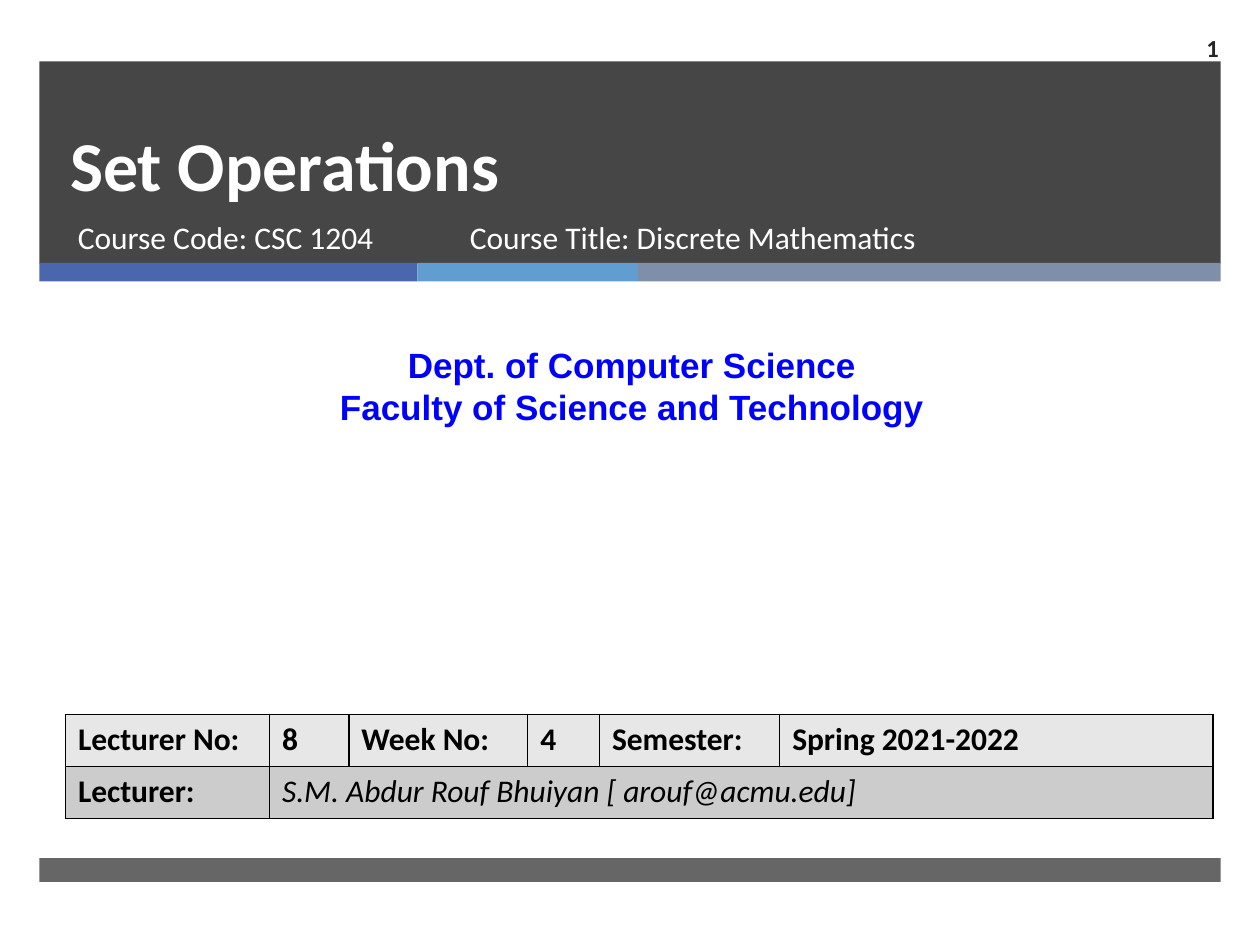
from dataclasses import dataclass

from lxml.etree import SubElement
from pptx import Presentation
from pptx.dml.color import RGBColor
from pptx.enum.shapes import MSO_SHAPE
from pptx.enum.text import MSO_ANCHOR, PP_ALIGN
from pptx.oxml.ns import qn
from pptx.slide import Slide
from pptx.table import Table
from pptx.util import Pt

WHITE, BLACK, CHARCOAL, BLUE = "FFFFFF", "000000", "262626", "0000FF"
BAND_LEFT, BAND_WIDTH = 22.5, 675


@dataclass
class Bar:
    left: float
    top: float
    width: float
    height: float
    color: str
    opacity: int = 100


@dataclass
class Label:
    left: float
    top: float
    width: float
    height: float
    lines: list[str]
    style: dict
    anchor: MSO_ANCHOR = MSO_ANCHOR.TOP


def set_color(target, color: str) -> None:
    """Colour a fill or a font."""
    if hasattr(target, "solid"):
        target.solid()
        target.fore_color.rgb = RGBColor.from_string(color)
    else:
        target.color.rgb = RGBColor.from_string(color)


def write_text(frame, lines, *, size=18, font="Calibri", color=WHITE, bold=False,
               italic=False, align=PP_ALIGN.LEFT, line_spacing=None) -> None:
    for index, line in enumerate(lines):
        para = frame.paragraphs[0] if index == 0 else frame.add_paragraph()
        para.alignment = align
        if line_spacing:
            para.line_spacing = Pt(line_spacing)
        span = para.add_run()
        span.text = line
        span.font.size = Pt(size)
        span.font.name = font
        span.font.bold = bold
        span.font.italic = italic
        set_color(span.font, color)


def draw_bar(page: Slide, bar: Bar) -> None:
    shape = page.shapes.add_shape(MSO_SHAPE.RECTANGLE, Pt(bar.left), Pt(bar.top),
                                  Pt(bar.width), Pt(bar.height))
    shape.shadow.inherit = False
    shape.line.fill.background()
    set_color(shape.fill, bar.color)
    if bar.opacity < 100:
        color_node = shape.fill._xPr.find(qn("a:solidFill"))[0]
        SubElement(color_node, qn("a:alpha"), val=str(bar.opacity * 1000))


def draw_label(page: Slide, label: Label) -> None:
    box = page.shapes.add_textbox(Pt(label.left), Pt(label.top),
                                  Pt(label.width), Pt(label.height))
    box.text_frame.word_wrap = True
    box.text_frame.vertical_anchor = label.anchor
    write_text(box.text_frame, label.lines, **label.style)


def add_borders(cell, color: str) -> None:
    properties = cell._tc.get_or_add_tcPr()
    for index, side in enumerate(("a:lnL", "a:lnR", "a:lnT", "a:lnB")):
        line = properties.makeelement(qn(side), {"w": str(Pt(1))})
        properties.insert(index, line)
        fill = SubElement(line, qn("a:solidFill"))
        SubElement(fill, qn("a:srgbClr"), val=color)


def draw_lecture_table(page: Slide) -> Table:
    widths = [116.6, 45.4, 102.2, 41, 103, 247.7]
    row_height = 29.8
    rows = [
        ("E7E7E7", ["Lecturer No:", "8", "Week No:", "4", "Semester:", "Spring 2021-2022"]),
        ("CCCCCC", ["Lecturer:", "S.M. Abdur Rouf Bhuiyan [ arouf@acmu.edu]"]),
    ]
    table = page.shapes.add_table(len(rows), len(widths), Pt(37.4), Pt(408.2),
                                  Pt(sum(widths)), Pt(row_height * len(rows))).table
    for column, width in zip(table.columns, widths):
        column.width = Pt(width)
    table.cell(1, 1).merge(table.cell(1, 5))
    for row_index, (fill, texts) in enumerate(rows):
        table.rows[row_index].height = Pt(row_height)
        for column_index in range(len(widths)):
            cell = table.cell(row_index, column_index)
            set_color(cell.fill, fill)
            add_borders(cell, BLACK)
            if column_index < len(texts):
                is_name = (row_index, column_index) == (1, 1)
                write_text(cell.text_frame, [texts[column_index]], color=BLACK,
                           bold=not is_name, italic=is_name)
    return table


def main() -> None:
    deck = Presentation()
    deck.slide_width, deck.slide_height = Pt(720), Pt(540)
    page = deck.slides.add_slide(deck.slide_layouts[6])

    draw_bar(page, Bar(BAND_LEFT, 35.1, BAND_WIDTH, 115.6, CHARCOAL, 85))
    left = BAND_LEFT
    for width, color in ((216, "4A66AC"), (126, "629DD1"), (333, "7F8FA9")):
        draw_bar(page, Bar(left, 150.3, width, 10.6, color))
        left += width
    draw_bar(page, Bar(BAND_LEFT, 490.3, BAND_WIDTH, 13.7, CHARCOAL, 70))

    labels = [
        Label(33, 35.3, 615, 85.7, ["Set Operations"],
              dict(size=40, bold=True, line_spacing=46), MSO_ANCHOR.BOTTOM),
        Label(37.4, 121, 219.6, 38.2, ["Course Code: CSC 1204"], {}),
        Label(261.4, 121.2, 327.6, 38.2, ["Course Title: Discrete Mathematics"], {}),
        Label(5.8, 193, 710.6, 55.4,
              ["Dept. of Computer Science", "Faculty of Science and Technology"],
              dict(size=20, font="Arial", color=BLUE, bold=True, align=PP_ALIGN.CENTER)),
        Label(653.8, 13, 49.7, 28, ["1"],
              dict(size=14, color=CHARCOAL, bold=True, align=PP_ALIGN.RIGHT),
              MSO_ANCHOR.MIDDLE),
    ]
    for label in labels:
        draw_label(page, label)
    draw_lecture_table(page)

    deck.save("out.pptx")


if __name__ == "__main__":
    main()
